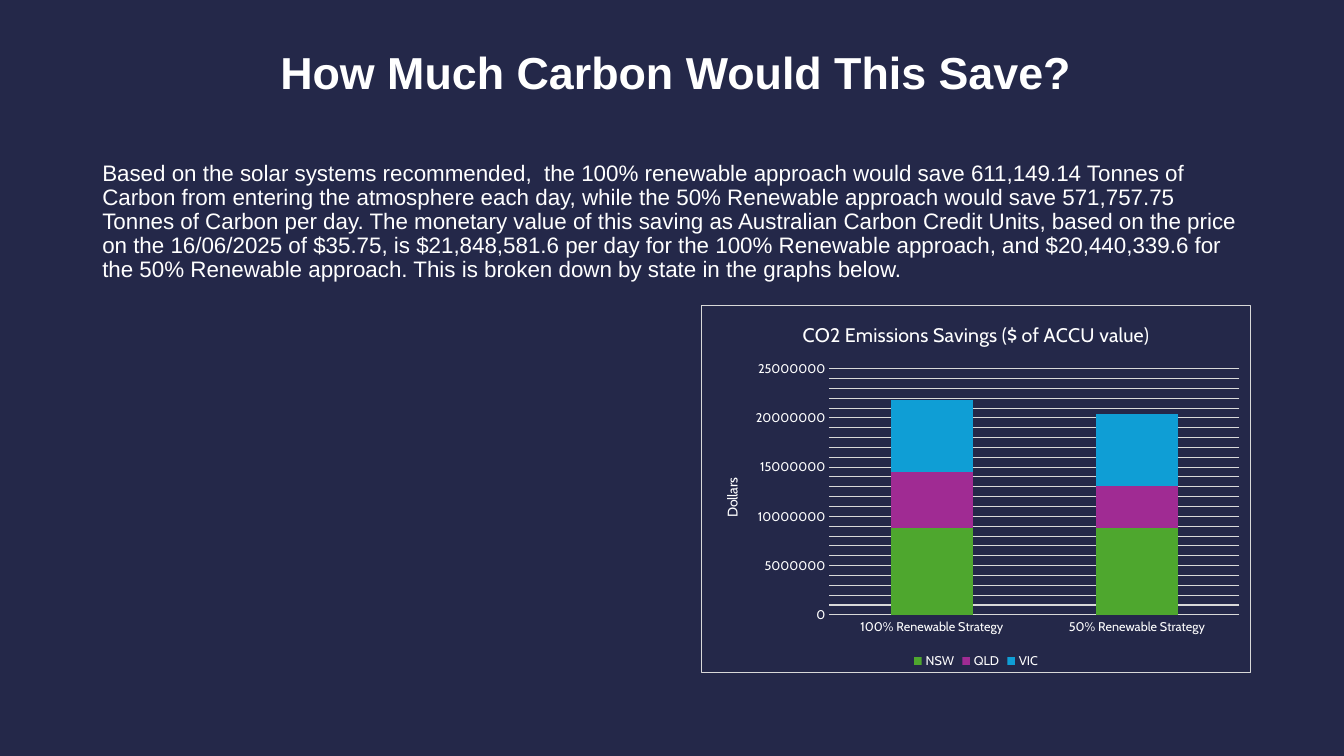
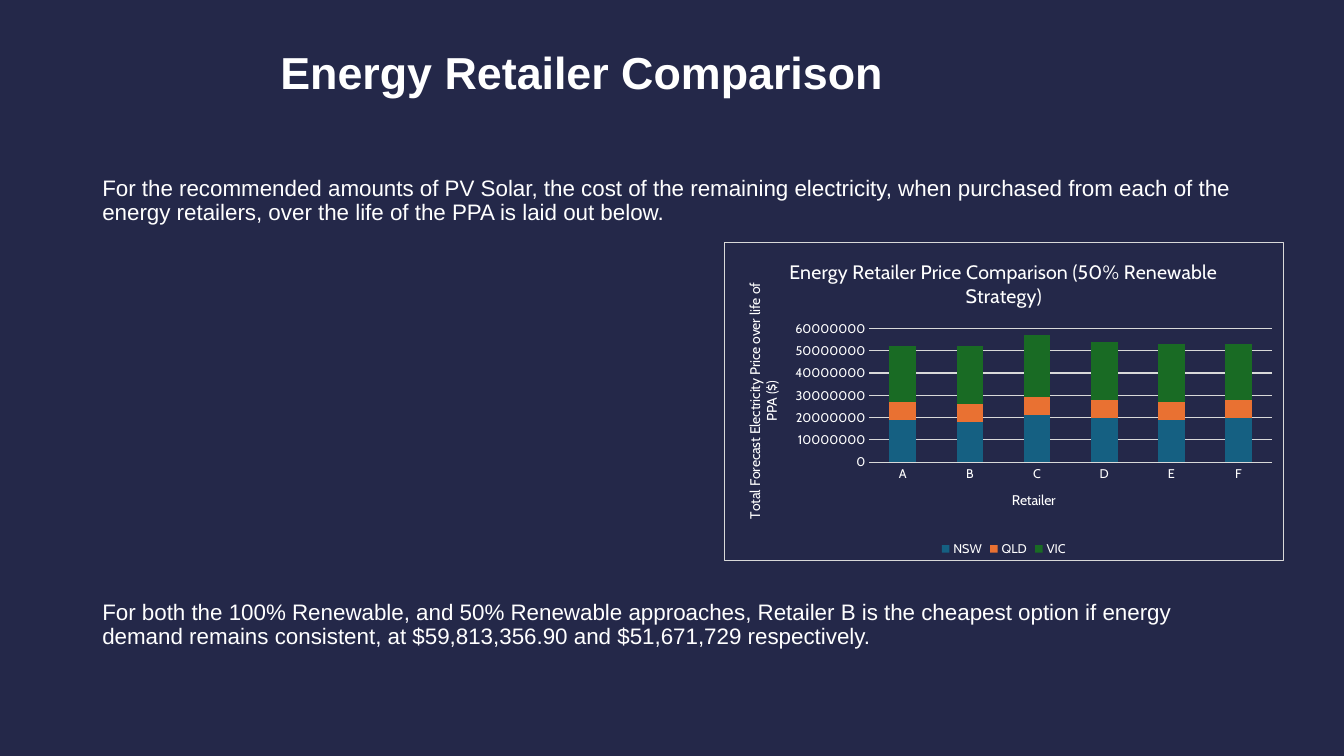
import pptx
import pptx.chart.data
import pptx.dml.color
import pptx.enum.chart
import pptx.enum.text
import pptx.oxml
import pptx.oxml.ns
import pptx.util

Pt = pptx.util.Pt

COLOURS = {
    "background": "242849",
    "text": "FFFFFF",
    "rule": "D9D9D9",
    "green": "4EA72E",
    "purple": "A02B93",
    "sky": "0F9ED5",
    "teal": "156082",
    "orange": "E97132",
    "forest": "196B24",
}
TEXT_FONT = "Arial"
CHART_FONT = "Cabin"
RULE_WIDTH = 0.75
MARGIN, TEXT_WIDTH = 66, 828
TITLE_LEFT, TITLE_TOP, TITLE_HEIGHT = 193, 21, 65.5
STATES = ("NSW", "QLD", "VIC")


def colour(name):
    return pptx.dml.color.RGBColor.from_string(COLOURS[name])


def style_font(font, face, size, bold=False):
    font.name = face
    font.size = Pt(size)
    font.bold = bold
    font.color.rgb = colour("text")


def style_rule(line):
    line.color.rgb = colour("rule")
    line.width = Pt(RULE_WIDTH)


def fill_frame(frame, text, size, bold=False):
    frame.word_wrap = True
    frame.auto_size = pptx.enum.text.MSO_AUTO_SIZE.NONE
    frame.text = text
    para = frame.paragraphs[0]
    para.alignment = pptx.enum.text.PP_ALIGN.LEFT
    para.line_spacing = 0.9
    style_font(para.runs[0].font, TEXT_FONT, size, bold)
    return para


def add_page(deck, title, title_width):
    page = deck.slides.add_slide(deck.slide_layouts.get_by_name("Title Only"))
    box = page.shapes.title
    box.left, box.top = Pt(TITLE_LEFT), Pt(TITLE_TOP)
    box.width, box.height = Pt(title_width), Pt(TITLE_HEIGHT)
    box.text_frame.vertical_anchor = pptx.enum.text.MSO_ANCHOR.MIDDLE
    fill_frame(box.text_frame, title, 32, bold=True)
    return page


def add_body(page, top, height, text):
    box = page.shapes.add_textbox(Pt(MARGIN), Pt(top), Pt(TEXT_WIDTH), Pt(height))
    para = fill_frame(box.text_frame, text, 16)
    para.space_before = Pt(10)


def set_heading(owner, text, size):
    """Give a chart or an axis its title."""
    owner.has_title = True
    heading = owner.chart_title if hasattr(owner, "chart_title") else owner.axis_title
    heading.text_frame.text = text
    style_font(heading.text_frame.paragraphs[0].runs[0].font, CHART_FONT, size)


def make_rule_properties(fill=""):
    """Return chart shape properties with the shared rule line and an optional fill."""
    return pptx.oxml.parse_xml(
        f'<c:spPr {pptx.oxml.ns.nsdecls("c", "a")}>{fill}'
        f'<a:ln w="{Pt(RULE_WIDTH)}"><a:solidFill>'
        f'<a:srgbClr val="{COLOURS["rule"]}"/></a:solidFill></a:ln></c:spPr>'
    )


def frame_chart(chart):
    """Fill and outline the whole chart area."""
    fill = f'<a:solidFill><a:srgbClr val="{COLOURS["background"]}"/></a:solidFill>'
    plot_part = chart._chartSpace.find(pptx.oxml.ns.qn("c:chart"))
    plot_part.addnext(make_rule_properties(fill))


def add_minor_gridlines(axis, unit):
    axis.minor_unit = unit
    axis.has_minor_gridlines = True
    gridlines = axis._element.find(pptx.oxml.ns.qn("c:minorGridlines"))
    gridlines.append(make_rule_properties())


def add_stacked_chart(page, position, title, categories, values, series_colours):
    data = pptx.chart.data.CategoryChartData()
    data.categories = categories
    for state, state_values in zip(STATES, values):
        data.add_series(state, state_values)
    chart = page.shapes.add_chart(
        pptx.enum.chart.XL_CHART_TYPE.COLUMN_STACKED, *map(Pt, position), data
    ).chart
    style_font(chart.font, CHART_FONT, 10)
    frame_chart(chart)
    set_heading(chart, title, 14)
    chart.chart_title.include_in_layout = False

    plot = chart.plots[0]
    plot.gap_width = 150
    plot.overlap = 100
    plot.vary_by_categories = False
    for series, name in zip(plot.series, series_colours):
        series.format.fill.solid()
        series.format.fill.fore_color.rgb = colour(name)

    for axis in (chart.category_axis, chart.value_axis):
        axis.major_tick_mark = pptx.enum.chart.XL_TICK_MARK.NONE
        axis.minor_tick_mark = pptx.enum.chart.XL_TICK_MARK.NONE
        style_font(axis.tick_labels.font, CHART_FONT, 9)
    style_rule(chart.category_axis.format.line)
    chart.value_axis.format.line.fill.background()
    chart.value_axis.has_major_gridlines = True
    style_rule(chart.value_axis.major_gridlines.format.line)
    chart.value_axis.minimum_scale = 0

    chart.has_legend = True
    chart.legend.position = pptx.enum.chart.XL_LEGEND_POSITION.BOTTOM
    chart.legend.include_in_layout = False
    style_font(chart.legend.font, CHART_FONT, 9)
    return chart


def build_carbon_page(deck):
    page = add_page(deck, "How Much Carbon Would This Save?", 649)
    add_body(
        page, 112, 343,
        "Based on the solar systems recommended,  the 100% renewable approach would "
        "save 611,149.14 Tonnes of Carbon from entering the atmosphere each day, while "
        "the 50% Renewable approach would save 571,757.75 Tonnes of Carbon per day. "
        "The monetary value of this saving as Australian Carbon Credit Units, based on "
        "the price on the 16/06/2025 of $35.75, is $21,848,581.6 per day for the 100% "
        "Renewable approach, and $20,440,339.6 for the 50% Renewable approach. This is "
        "broken down by state in the graphs below.",
    )
    chart = add_stacked_chart(
        page, (501, 217.5, 392.5, 263.5),
        "CO2 Emissions Savings ($ of ACCU value)",
        ("100% Renewable Strategy", "50% Renewable Strategy"),
        ((8800000, 8800000), (5700000, 4300000), (7300000, 7300000)),
        ("green", "purple", "sky"),
    )
    axis = chart.value_axis
    set_heading(axis, "Dollars", 10)
    axis.maximum_scale = 25000000
    axis.major_unit = 5000000
    add_minor_gridlines(axis, 1000000)


def build_retailer_page(deck):
    page = add_page(deck, "Energy Retailer Comparison", 574.5)
    add_body(
        page, 123, 50,
        "For the recommended amounts of PV Solar, the cost of the remaining "
        "electricity, when purchased from each of the energy retailers, over the life "
        "of the PPA is laid out below.",
    )
    millions = (
        (19, 18, 21, 20, 19, 20),
        (8, 8, 8, 8, 8, 8),
        (25, 26, 28, 26, 26, 25),
    )
    chart = add_stacked_chart(
        page, (517, 173, 400, 228),
        "Energy Retailer Price Comparison (50% Renewable Strategy)",
        tuple("ABCDEF"),
        [[value * 1000000 for value in row] for row in millions],
        ("teal", "orange", "forest"),
    )
    set_heading(chart.category_axis, "Retailer", 10)
    set_heading(
        chart.value_axis, "Total Forecast Electricity Price over life of PPA ($)", 10
    )
    chart.value_axis.maximum_scale = 60000000
    chart.value_axis.major_unit = 10000000
    add_body(
        page, 426, 50,
        "For both the 100% Renewable, and 50% Renewable approaches, Retailer B is the "
        "cheapest option if energy demand remains consistent, at $59,813,356.90 and "
        "$51,671,729 respectively.",
    )


def main():
    deck = pptx.Presentation()
    deck.slide_width, deck.slide_height = Pt(960), Pt(540)
    backdrop = deck.slide_master.background.fill
    backdrop.solid()
    backdrop.fore_color.rgb = colour("background")
    build_carbon_page(deck)
    build_retailer_page(deck)
    deck.save("out.pptx")


if __name__ == "__main__":
    main()
